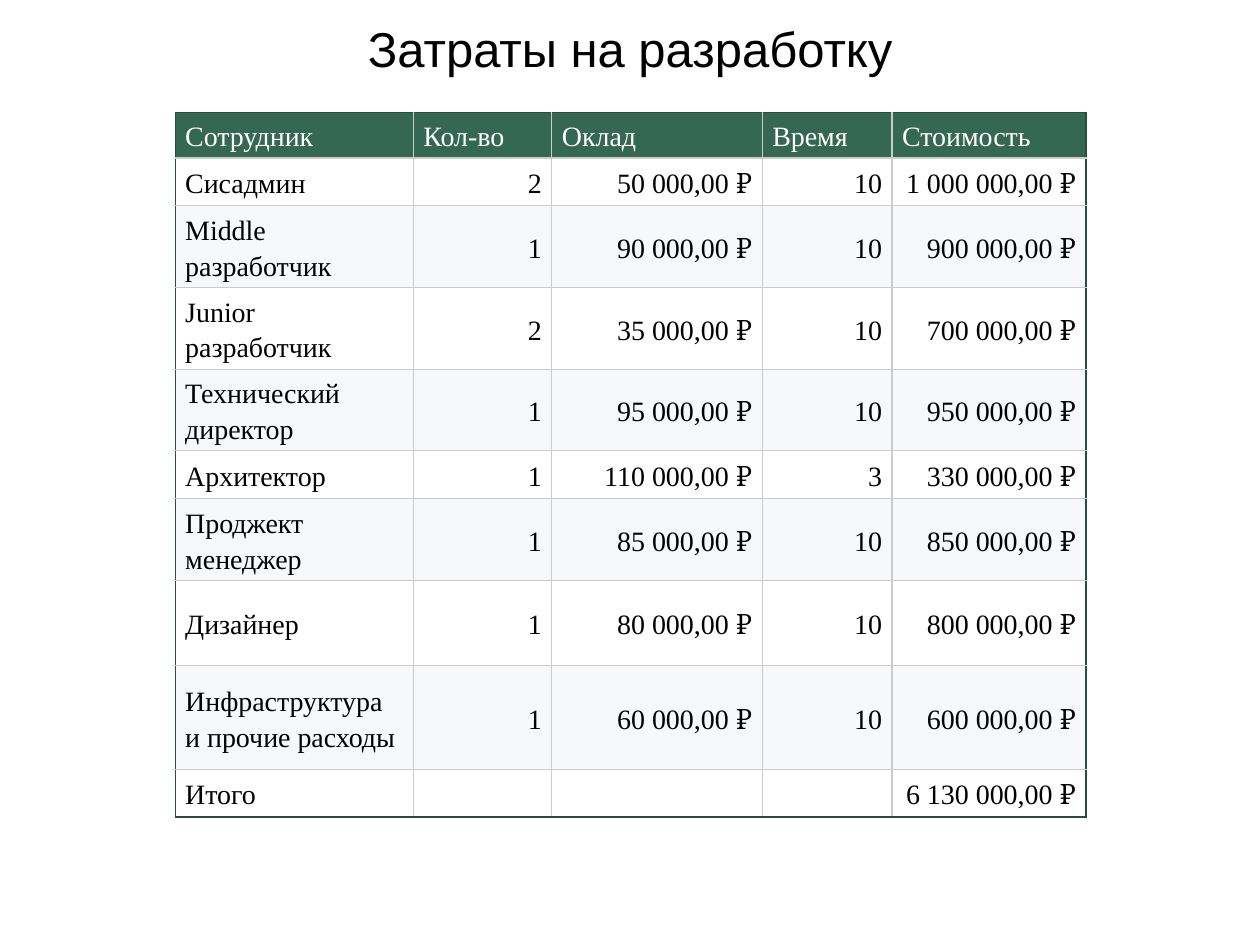
"""Build the development cost slide."""
from typing import NamedTuple

from lxml.etree import SubElement
from pptx import Presentation
from pptx.dml.color import RGBColor
from pptx.enum.text import MSO_ANCHOR, PP_ALIGN
from pptx.oxml.ns import qn
from pptx.table import Table, _Cell
from pptx.util import Inches, Pt

BLACK = RGBColor(0x00, 0x00, 0x00)
WHITE = RGBColor(0xFF, 0xFF, 0xFF)
HEADER_GREEN = RGBColor(0x35, 0x68, 0x54)
FRAME_GREEN = RGBColor(0x28, 0x4E, 0x3F)
GRID_GRAY = RGBColor(0xCC, 0xCC, 0xCC)
BAND_GRAY = RGBColor(0xF6, 0xF8, 0xF9)

HEADERS = ("Сотрудник", "Кол-во", "Оклад", "Время", "Стоимость")
COLUMN_WIDTHS = (1.89, 1.1, 1.67, 1.03, 1.54)
HEADER_HEIGHT = 0.32


class Expense(NamedTuple):
    employee: str
    count: str
    salary: str
    months: str
    cost: str
    height: float


EXPENSES = (
    Expense("Сисадмин", "2", "50 000,00 ₽", "10", "1 000 000,00 ₽", 0.38),
    Expense("Middle разработчик", "1", "90 000,00 ₽", "10", "900 000,00 ₽", 0.57),
    Expense("Junior разработчик", "2", "35 000,00 ₽", "10", "700 000,00 ₽", 0.57),
    Expense("Технический директор", "1", "95 000,00 ₽", "10", "950 000,00 ₽", 0.57),
    Expense("Архитектор", "1", "110 000,00 ₽", "3", "330 000,00 ₽", 0.38),
    Expense("Проджект менеджер", "1", "85 000,00 ₽", "10", "850 000,00 ₽", 0.57),
    Expense("Дизайнер", "1", "80 000,00 ₽", "10", "800 000,00 ₽", 0.68),
    Expense("Инфраструктура и прочие расходы", "1", "60 000,00 ₽", "10", "600 000,00 ₽", 0.82),
    Expense("Итого", "", "", "", "6 130 000,00 ₽", 0.38),
)


def set_borders(cell: _Cell, outer_sides: dict[str, bool]) -> None:
    properties = cell._tc.get_or_add_tcPr()
    for position, (side, is_outer) in enumerate(outer_sides.items()):
        line = properties.makeelement(qn(f"a:{side}"), {"w": str(Pt(0.75))})
        properties.insert(position, line)
        fill = SubElement(line, qn("a:solidFill"))
        color = FRAME_GREEN if is_outer else GRID_GRAY
        SubElement(fill, qn("a:srgbClr"), val=str(color))


def format_cell(cell: _Cell, text: str, fill: RGBColor, color: RGBColor, alignment: PP_ALIGN) -> None:
    cell.fill.solid()
    cell.fill.fore_color.rgb = fill
    cell.vertical_anchor = MSO_ANCHOR.MIDDLE
    cell.margin_left = cell.margin_right = Inches(0.08)
    cell.margin_top = cell.margin_bottom = Inches(0.04)
    cell.text = text
    paragraph = cell.text_frame.paragraphs[0]
    paragraph.alignment = alignment
    paragraph.line_spacing = 1.15
    paragraph.font.name = "Times New Roman"
    paragraph.font.size = Pt(16)
    paragraph.font.color.rgb = color


def fill_table(table: Table) -> None:
    table.first_row = False
    table.horz_banding = False
    for column, width in zip(table.columns, COLUMN_WIDTHS):
        column.width = Inches(width)
    heights = (HEADER_HEIGHT, *(expense.height for expense in EXPENSES))
    for row, height in zip(table.rows, heights):
        row.height = Inches(height)

    last_row, last_column = len(EXPENSES), len(HEADERS) - 1
    for row_index, texts in enumerate((HEADERS, *(expense[:5] for expense in EXPENSES))):
        is_header = row_index == 0
        band = WHITE if row_index % 2 else BAND_GRAY
        for column_index, text in enumerate(texts):
            cell = table.cell(row_index, column_index)
            is_left = is_header or column_index == 0
            format_cell(
                cell,
                text,
                HEADER_GREEN if is_header else band,
                WHITE if is_header else BLACK,
                PP_ALIGN.LEFT if is_left else PP_ALIGN.RIGHT,
            )
            set_borders(cell, {
                "lnL": column_index == 0,
                "lnR": column_index == last_column,
                "lnT": is_header,
                "lnB": row_index == last_row,
            })


def main() -> None:
    presentation = Presentation()
    presentation.slide_width, presentation.slide_height = Inches(10), Inches(7.5)
    slide = presentation.slides.add_slide(presentation.slide_layouts[5])

    title = slide.shapes.title
    title.left, title.top = Inches(0.34), Inches(0)
    title.width, title.height = Inches(9.32), Inches(0.83)
    frame = title.text_frame
    frame.text = "Затраты на разработку"
    frame.vertical_anchor = MSO_ANCHOR.TOP
    frame.margin_left = frame.margin_right = frame.margin_bottom = Inches(0.1)
    frame.margin_top = Inches(0.15)
    paragraph = frame.paragraphs[0]
    paragraph.alignment = PP_ALIGN.CENTER
    paragraph.font.name = "Arial"
    paragraph.font.size = Pt(28)
    paragraph.font.color.rgb = BLACK

    table_height = HEADER_HEIGHT + sum(expense.height for expense in EXPENSES)
    table_frame = slide.shapes.add_table(
        len(EXPENSES) + 1, len(HEADERS), Inches(1.39), Inches(0.89),
        Inches(sum(COLUMN_WIDTHS)), Inches(table_height),
    )
    fill_table(table_frame.table)
    presentation.save("out.pptx")


if __name__ == "__main__":
    main()
